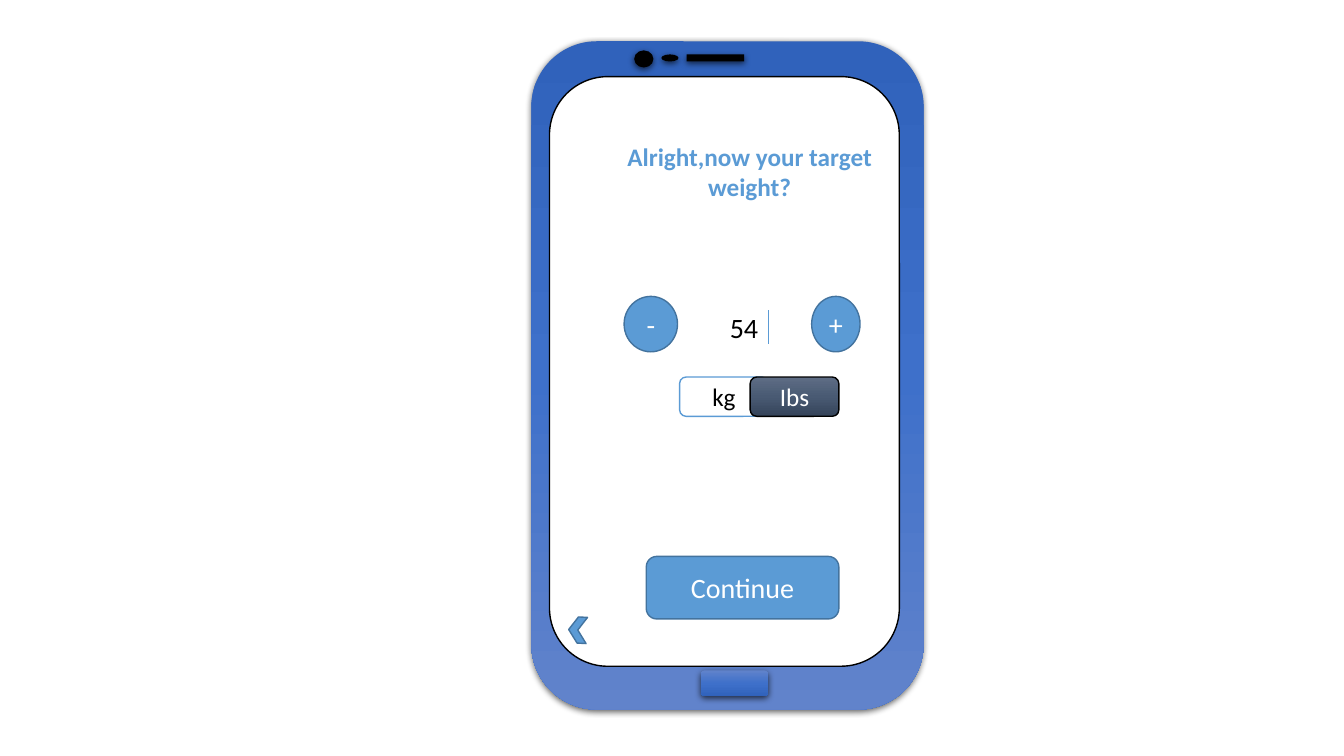
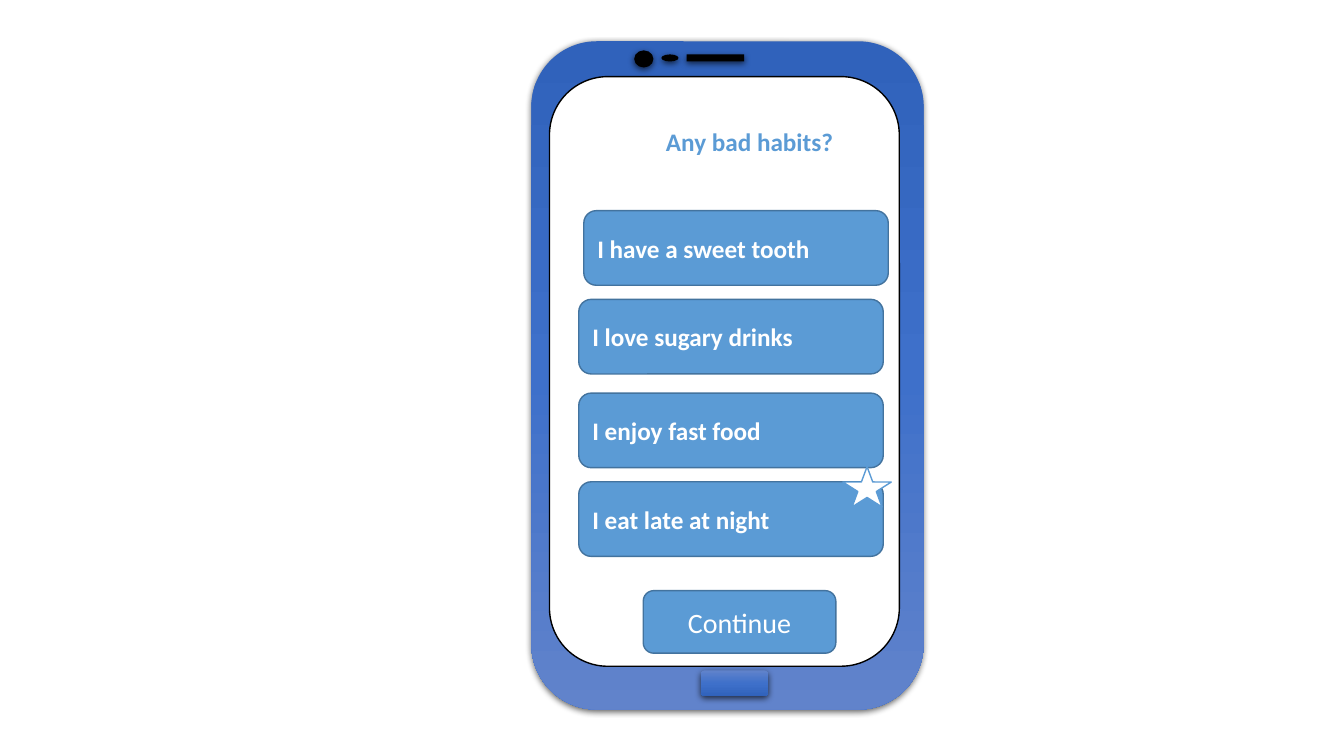
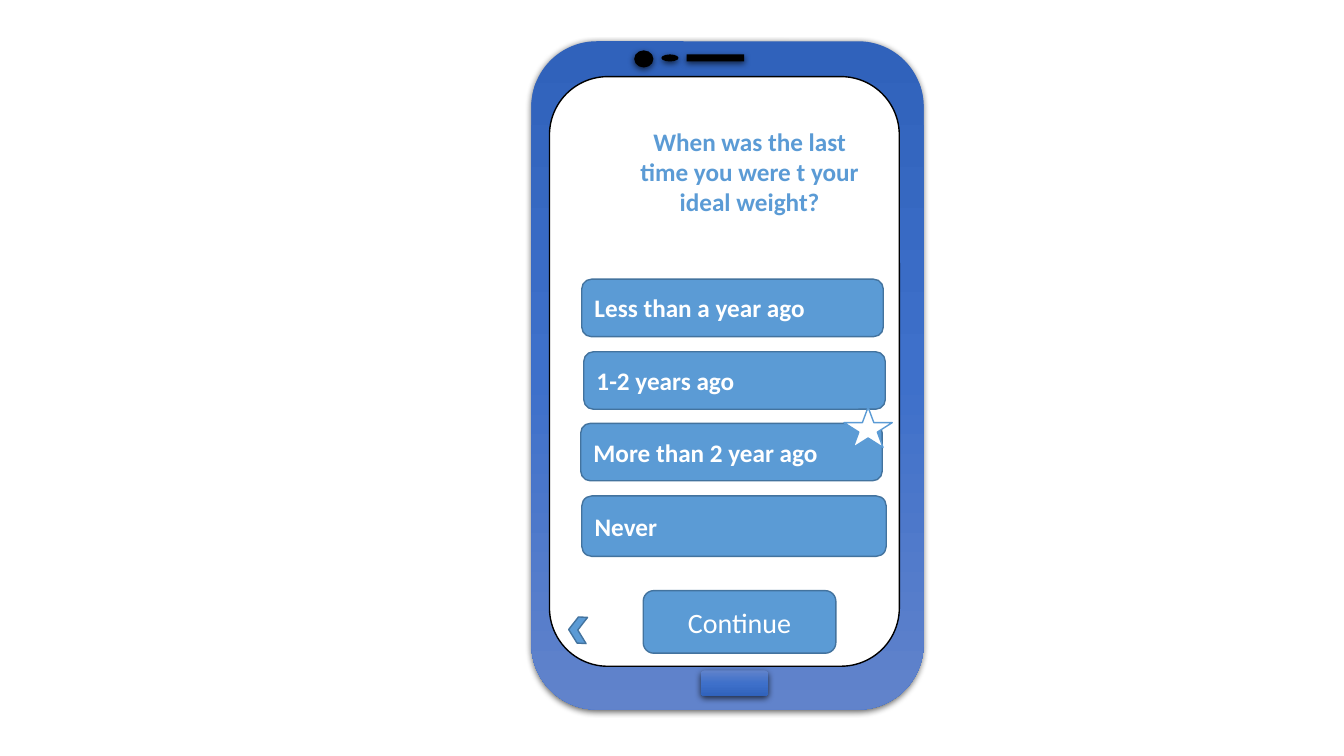
from copy import deepcopy
from dataclasses import dataclass

from lxml.etree import SubElement
from pptx import Presentation
from pptx.dml.color import RGBColor
from pptx.enum.shapes import MSO_CONNECTOR, MSO_SHAPE
from pptx.enum.text import MSO_ANCHOR, MSO_AUTO_SIZE, PP_ALIGN
from pptx.oxml.ns import qn
from pptx.util import Inches, Pt


@dataclass(frozen=True)
class Theme:
    font: str = "Calibri"
    text_size: int = 18
    button_size: int = 20
    line_width: float = 1
    caret_width: float = 0.5
    accent: str = "5B9BD5"
    accent_edge: str = "43739E"
    white: str = "FFFFFF"
    black: str = "000000"
    case_gradient: tuple = ("6183CB", "3E70CA", "3062BB")
    selected_gradient: tuple = ("5E6D85", "495A73", "35445A")


THEME = Theme()
TITLE_ONLY = 5


def rgb(color):
    return RGBColor.from_string(color)


def apply_format(target, values):
    for name, value in values.items():
        setattr(target, name, value)


def fill_gradient(shape, colors):
    shape.fill.gradient()
    shape.fill.gradient_angle = 270
    stop_list = shape.fill._xPr.find(".//" + qn("a:gsLst"))
    stop_list.insert(1, deepcopy(stop_list[0]))
    for index, (stop, color) in enumerate(zip(shape.fill.gradient_stops, colors)):
        stop.position = index / (len(colors) - 1)
        stop.color.rgb = rgb(color)


def add_shadow(shape):
    effects = shape._element.spPr.find(qn("a:effectLst"))
    shadow = SubElement(
        effects, qn("a:outerShdw"), blurRad=str(Pt(4.5)), dist=str(Pt(1.5)),
        dir="5400000", algn="ctr", rotWithShape="0",
    )
    color = SubElement(shadow, qn("a:srgbClr"), val=THEME.black)
    SubElement(color, qn("a:alpha"), val="63000")


def format_text(text_frame, text, color, size, bold=False, align=PP_ALIGN.CENTER):
    text_frame.word_wrap = True
    text_frame.text = text
    paragraph = text_frame.paragraphs[0]
    paragraph.alignment = align
    apply_format(paragraph.font, {"name": THEME.font, "size": Pt(size), "bold": bold})
    paragraph.font.color.rgb = rgb(color)


def add_box(slide, kind, box, fill, line=None, shadow=False):
    shape = slide.shapes.add_shape(kind, *map(Inches, box))
    shape.shadow.inherit = False
    if isinstance(fill, tuple):
        fill_gradient(shape, fill)
    else:
        shape.fill.solid()
        shape.fill.fore_color.rgb = rgb(fill)
    if line:
        shape.line.color.rgb = rgb(line)
        shape.line.width = Pt(THEME.line_width)
    else:
        shape.line.fill.background()
    if shadow:
        add_shadow(shape)
    return shape


def add_label(slide, kind, box, text, fill=THEME.accent, line=THEME.accent_edge,
              color=THEME.white, size=THEME.button_size, **text_format):
    shape = add_box(slide, kind, box, fill, line)
    shape.text_frame.vertical_anchor = MSO_ANCHOR.MIDDLE
    format_text(shape.text_frame, text, color, size, **text_format)


def add_phone(slide):
    rounded = MSO_SHAPE.ROUNDED_RECTANGLE
    add_box(slide, rounded, (5.27, 0.41, 3.89, 6.63), THEME.case_gradient[::-1], shadow=True)
    add_box(slide, rounded, (5.45, 0.76, 3.47, 5.85), THEME.white, THEME.black)
    add_box(slide, rounded, (6.95, 6.65, 0.67, 0.26), THEME.case_gradient, shadow=True)
    for kind, box in (
        (MSO_SHAPE.RECTANGLE, (6.81, 0.54, 0.57, 0.07)),
        (MSO_SHAPE.OVAL, (6.56, 0.54, 0.17, 0.07)),
        (MSO_SHAPE.OVAL, (6.29, 0.5, 0.19, 0.17)),
    ):
        add_box(slide, kind, box, THEME.black, shadow=True)


def add_question(slide, text, top):
    title = slide.shapes.title
    box = {"left": 6.22, "top": top, "width": 2.43, "height": 0.95}
    apply_format(title, {name: Inches(value) for name, value in box.items()})
    apply_format(title.text_frame, {
        "margin_left": 0, "margin_right": 0, "margin_top": 0, "margin_bottom": 0,
        "vertical_anchor": MSO_ANCHOR.TOP, "auto_size": MSO_AUTO_SIZE.NONE,
    })
    format_text(title.text_frame, text, THEME.accent, THEME.text_size, bold=True)
    slide.shapes._spTree.append(title._element)


def add_screen(presentation, question, top):
    slide = presentation.slides.add_slide(presentation.slide_layouts[TITLE_ONLY])
    add_phone(slide)
    add_question(slide, question, top)
    return slide


def add_options(slide, options):
    for text, box in options:
        add_label(slide, MSO_SHAPE.ROUNDED_RECTANGLE, box, text,
                  size=THEME.text_size, bold=True, align=PP_ALIGN.LEFT)


def add_continue(slide, left=6.38, top=5.86):
    add_label(slide, MSO_SHAPE.ROUNDED_RECTANGLE, (left, top, 1.91, 0.62), "Continue")


def add_star(slide, left, top):
    add_box(slide, MSO_SHAPE.STAR_5_POINT, (left, top, 0.48, 0.4), THEME.white, THEME.accent)


def add_back_arrow(slide):
    arrow = add_box(slide, MSO_SHAPE.CHEVRON, (5.64, 6.12, 0.18, 0.26),
                    THEME.accent, THEME.accent_edge)
    arrow.rotation = 183.2


def add_caret(slide, x, top, bottom):
    caret = slide.shapes.add_connector(
        MSO_CONNECTOR.STRAIGHT, Inches(x), Inches(top), Inches(x), Inches(bottom))
    caret.line.color.rgb = rgb(THEME.accent)
    caret.line.width = Pt(THEME.caret_width)
    SubElement(caret._element.spPr, qn("a:effectLst"))


def add_weight_screen(presentation):
    slide = add_screen(presentation, "Alright,now your target weight?", 1.4)
    rounded = MSO_SHAPE.ROUNDED_RECTANGLE
    add_label(slide, MSO_SHAPE.OVAL, (6.19, 2.94, 0.53, 0.55), "-")
    add_label(slide, MSO_SHAPE.OVAL, (8.05, 2.94, 0.48, 0.55), "+")
    add_label(slide, rounded, (7.01, 2.94, 0.74, 0.61), "54",
              fill=THEME.white, line=None, color=THEME.black)
    add_continue(slide, 6.41, 5.52)
    add_label(slide, rounded, (6.74, 3.74, 0.88, 0.39), "kg", fill=THEME.white,
              line=THEME.accent, color=THEME.black, size=THEME.text_size)
    add_label(slide, rounded, (7.44, 3.74, 0.88, 0.39), "Ibs", size=THEME.text_size,
              fill=THEME.selected_gradient, line=THEME.black)
    add_caret(slide, 7.62, 3.08, 3.41)
    add_back_arrow(slide)


def add_habits_screen(presentation):
    slide = add_screen(presentation, "Any bad habits?", 1.25)
    add_options(slide, (
        ("I have a sweet tooth", (5.79, 2.09, 3.02, 0.74)),
        ("I love sugary drinks", (5.74, 2.97, 3.02, 0.74)),
        ("I enjoy fast food", (5.74, 3.9, 3.02, 0.74)),
        ("I eat late at night", (5.74, 4.78, 3.02, 0.74)),
    ))
    add_star(slide, 8.36, 4.63)
    add_continue(slide)


def add_history_screen(presentation):
    slide = add_screen(
        presentation, "When was the last time you were t your ideal weight?", 1.25)
    add_options(slide, (
        ("Less than a year ago", (5.77, 2.77, 2.99, 0.57)),
        ("1-2 years ago", (5.79, 3.49, 2.99, 0.57)),
        ("More than 2 year ago", (5.76, 4.2, 2.99, 0.57)),
        ("Never", (5.77, 4.92, 3.02, 0.6)),
    ))
    add_continue(slide)
    add_star(slide, 8.37, 4.04)
    add_back_arrow(slide)


def main():
    presentation = Presentation()
    presentation.slide_width = Inches(13.33)
    presentation.slide_height = Inches(7.5)
    add_weight_screen(presentation)
    add_habits_screen(presentation)
    add_history_screen(presentation)
    presentation.save("out.pptx")


if __name__ == "__main__":
    main()
